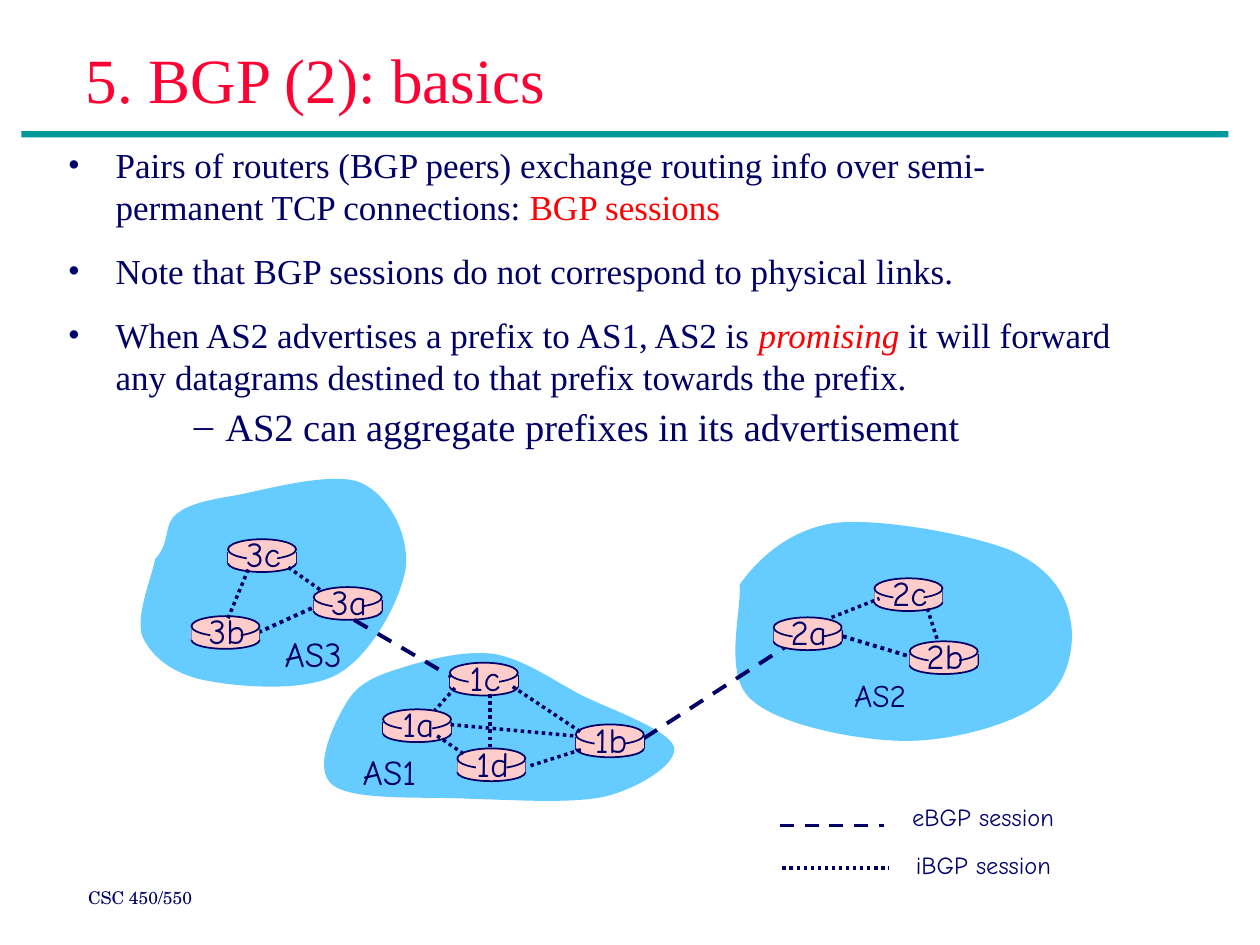
from lxml import etree
from pptx import Presentation
from pptx.dml.color import RGBColor
from pptx.enum import dml, shapes, text
from pptx.oxml.ns import qn
from pptx.util import Inches, Pt

NAVY = RGBColor(0x00, 0x00, 0x66)
RED = RGBColor(0xFF, 0x00, 0x00)
ROSE = RGBColor(0xFF, 0x00, 0x33)
TEAL = RGBColor(0x00, 0x99, 0x99)
SKY = RGBColor(0x66, 0xCC, 0xFF)
PINK = RGBColor(0xFF, 0xCC, 0xCC)
SERIF, HAND, SCHOOL = "Times New Roman", "Comic Neue", "TeX Gyre Schola"
DOT, DASH = dml.MSO_LINE.ROUND_DOT, dml.MSO_LINE.DASH
OVAL, RECT = shapes.MSO_SHAPE.OVAL, shapes.MSO_SHAPE.RECTANGLE
LEFT, MID = text.PP_ALIGN.LEFT, text.PP_ALIGN.CENTER

# Content: each bullet is mark, size, indent, hang, space before, line spacing, runs
TITLE = "5. BGP (2): basics"
BULLETS = [
    ("•", 20, 0.38, 0.38, 0, 1, [
        ("Pairs of routers (BGP peers) exchange routing info over "
         "semi-permanent TCP connections: ", NAVY, False),
        ("BGP sessions", RED, False)]),
    ("•", 20, 0.38, 0.38, 12.5, 1, [
        ("Note that BGP sessions do not correspond to physical links.", NAVY, False)]),
    ("•", 20, 0.38, 0.38, 12.5, 1, [
        ("When AS2 advertises a prefix to AS1, AS2 is ", NAVY, False),
        ("promising", RED, True),
        (" it will forward any datagrams destined to that prefix "
         "towards the prefix.", NAVY, False)]),
    ("–", 22, 1.25, 0.25, 8.2, 0.8, [
        ("AS2 can aggregate prefixes in its advertisement", NAVY, False)]),
]

# Clouds: start point, then Bezier curves (two handles and an end)
CLOUDS = [
    ((5.87, 4.64), [
        (6.02, 4.43, 6.27, 4.2, 6.63, 4.15), (6.98, 4.11, 7.69, 4.24, 8, 4.36),
        (8.31, 4.49, 8.45, 4.69, 8.49, 4.89), (8.54, 5.09, 8.49, 5.42, 8.26, 5.58),
        (8.04, 5.75, 7.54, 5.89, 7.15, 5.88), (6.77, 5.87, 6.16, 5.75, 5.95, 5.54),
        (5.74, 5.34, 5.89, 4.83, 5.87, 4.64)]),
    ((1.23, 4.44), [
        (1.36, 4.3, 1.29, 4.17, 1.4, 4.08), (1.5, 4, 1.64, 3.97, 1.88, 3.93),
        (2.13, 3.88, 2.64, 3.74, 2.86, 3.83), (3.09, 3.93, 3.25, 4.25, 3.22, 4.51),
        (3.18, 4.76, 2.95, 5.2, 2.68, 5.35), (2.42, 5.5, 1.88, 5.45, 1.63, 5.4),
        (1.37, 5.35, 1.2, 5.21, 1.13, 5.05), (1.07, 4.89, 1.21, 4.57, 1.23, 4.44)]),
    ((2.76, 5.56), [
        (2.86, 5.4, 3.03, 5.35, 3.22, 5.29), (3.42, 5.23, 3.69, 5.16, 3.92, 5.19),
        (4.15, 5.23, 4.36, 5.38, 4.6, 5.51), (4.84, 5.63, 5.31, 5.79, 5.35, 5.93),
        (5.38, 6.06, 5.08, 6.25, 4.81, 6.32), (4.55, 6.38, 4.1, 6.35, 3.74, 6.34),
        (3.38, 6.32, 2.8, 6.36, 2.64, 6.23), (2.47, 6.1, 2.66, 5.72, 2.76, 5.56)]),
]

# Routers: left and top of the upper disc
ROUTERS = {
    "3b": (1.52, 4.89), "1d": (3.63, 5.94), "3a": (2.49, 4.66),
    "1c": (3.57, 5.26), "2a": (6.14, 4.9), "1a": (3.04, 5.63),
    "2c": (6.94, 4.59), "2b": (7.22, 5.09), "1b": (4.57, 5.75), "3c": (1.81, 4.28),
}

# Sessions: ends, dash, width
UNDER = [
    (6.69, 5.05, 7.22, 5.21, DOT, 2.25), (2.05, 5.02, 2.49, 4.82, DOT, 2.25),
    (5.11, 5.86, 6.24, 5.13, DASH, 2.25),
]
OVER = [(2.81, 4.92, 3.58, 5.37, DASH, 2.25), (6.19, 6.55, 7.02, 6.55, DASH, 2)] + [
    ends + (DOT, 2) for ends in [
        (3.61, 5.46, 3.45, 5.64), (3.89, 5.51, 3.89, 5.93), (4.07, 5.45, 4.61, 5.81),
        (4.61, 5.95, 4.2, 6.08), (4.55, 5.84, 3.57, 5.75), (6.6, 4.9, 6.98, 4.75),
        (2.54, 4.68, 2.27, 4.49), (1.97, 4.52, 1.8, 4.93), (7.36, 4.83, 7.44, 5.08),
        (3.47, 5.84, 3.69, 5.99), (6.21, 6.89, 7.05, 6.89)]]

# Labels: words, left, top, width, height, size, font
LABELS = [
    ("AS3", 2.16, 4.97, 0.65, 0.44, 20, HAND),
    ("AS1", 2.78, 5.91, 0.62, 0.44, 20, HAND),
    ("AS2", 6.68, 5.32, 0.61, 0.4, 18, HAND),
    ("eBGP session", 7.14, 6.32, 1.33, 0.34, 14, HAND),
    ("iBGP session", 7.17, 6.7, 1.27, 0.34, 14, HAND),
    ("CSC 450/550", 0.6, 6.99, 1.02, 0.27, 10, SCHOOL),
]

deck = Presentation()
deck.slide_width, deck.slide_height = Inches(10), Inches(7.5)
slide = deck.slides.add_slide(deck.slide_layouts[5])
tree = slide.shapes


def style(font, size, name, color, slant=False):
    font.size, font.name, font.italic = Pt(size), name, slant
    font.color.rgb = color


def paint(shape, fill, edge=None):
    shape.shadow.inherit = False
    shape.fill.solid()
    shape.fill.fore_color.rgb = fill
    if edge is None:
        shape.line.fill.background()
    else:
        shape.line.color.rgb, shape.line.width = edge, Pt(1)


def block(kind, x, y, w, h, fill, edge=None):
    paint(tree.add_shape(kind, Inches(x), Inches(y), Inches(w), Inches(h)), fill, edge)


def link(x1, y1, x2, y2, dash=None, width=1):
    line = tree.add_connector(shapes.MSO_CONNECTOR.STRAIGHT,
                              Inches(x1), Inches(y1), Inches(x2), Inches(y2))
    line.line.color.rgb, line.line.width = NAVY, Pt(width)
    if dash:
        line.line.dash_style = dash
    etree.SubElement(line._element.spPr, qn("a:effectLst"))


def label(words, x, y, w, h, size, font, align=LEFT):
    frame = tree.add_textbox(Inches(x), Inches(y), Inches(w), Inches(h)).text_frame
    frame.word_wrap = False
    frame.margin_right = 0
    if align == MID:
        frame.margin_left = 0
    frame.text = words
    para = frame.paragraphs[0]
    para.alignment = align
    style(para.runs[0].font, size, font, NAVY)


def cloud(start, curves):
    pts = [(Inches(c[i]), Inches(c[i + 1])) for c in curves for i in (0, 2, 4)]
    pen = tree.build_freeform(*map(Inches, start))
    pen.add_line_segments(pts, close=True)
    shape = pen.convert_to_shape()
    # Every three straight steps become one curve
    steps = list(shape._element.iter(qn("a:lnTo")))
    for i in range(0, len(steps), 3):
        curve = etree.Element(qn("a:cubicBezTo"))
        steps[i].addprevious(curve)
        for step in steps[i:i + 3]:
            curve.append(step[0])
            step.getparent().remove(step)
    paint(shape, SKY)


def router(name, x, y, w=0.54):
    block(OVAL, x, y + 0.12, w, 0.14, PINK, NAVY)
    for side in (x, x + w):
        link(side, y + 0.1, side, y + 0.19)
    block(RECT, x, y + 0.1, w, 0.09, PINK)
    block(OVAL, x, y, w, 0.16, PINK, NAVY)
    block(RECT, x + 0.15, y + 0.02, 0.24, 0.2, PINK)
    label(name, x + 0.04, y - 0.1, 0.48, 0.44, 20, HAND, MID)


def bullet(para, mark, size, indent, hang, before, spacing, runs):
    props = para._p.get_or_add_pPr()
    props.set("marL", str(Inches(indent)))
    props.set("indent", str(-Inches(hang)))
    tint = etree.SubElement(props, qn("a:buClr"))
    etree.SubElement(tint, qn("a:srgbClr"), val=str(NAVY))
    etree.SubElement(props, qn("a:buFont"), typeface=SERIF)
    etree.SubElement(props, qn("a:buChar"), char=mark)
    para.space_before, para.line_spacing = Pt(before), spacing
    for words, color, slant in runs:
        run = para.add_run()
        run.text = words
        style(run.font, size, SERIF, color, slant)


# Title and rule
block(RECT, 0.17, 1.04, 9.58, 0.05, TEAL)
head = tree.title
head.left, head.top, head.width, head.height = map(Inches, (0.58, 0, 8.5, 1.25))
head.text_frame.text = TITLE
head.text_frame.vertical_anchor = text.MSO_ANCHOR.MIDDLE
para = head.text_frame.paragraphs[0]
para.alignment = LEFT
style(para.runs[0].font, 36, SERIF, ROSE)

# Bullets
body = tree.add_textbox(Inches(0.44), Inches(1.09), Inches(8.64), Inches(2.53)).text_frame
body.word_wrap = True
for i, item in enumerate(BULLETS):
    bullet(body.add_paragraph() if i else body.paragraphs[0], *item)

# Network
for start, curves in CLOUDS:
    cloud(start, curves)
for ends in UNDER:
    link(*ends)
for name, spot in ROUTERS.items():
    router(name, *spot)
for ends in OVER:
    link(*ends)
for item in LABELS:
    label(*item)

deck.save("out.pptx")
